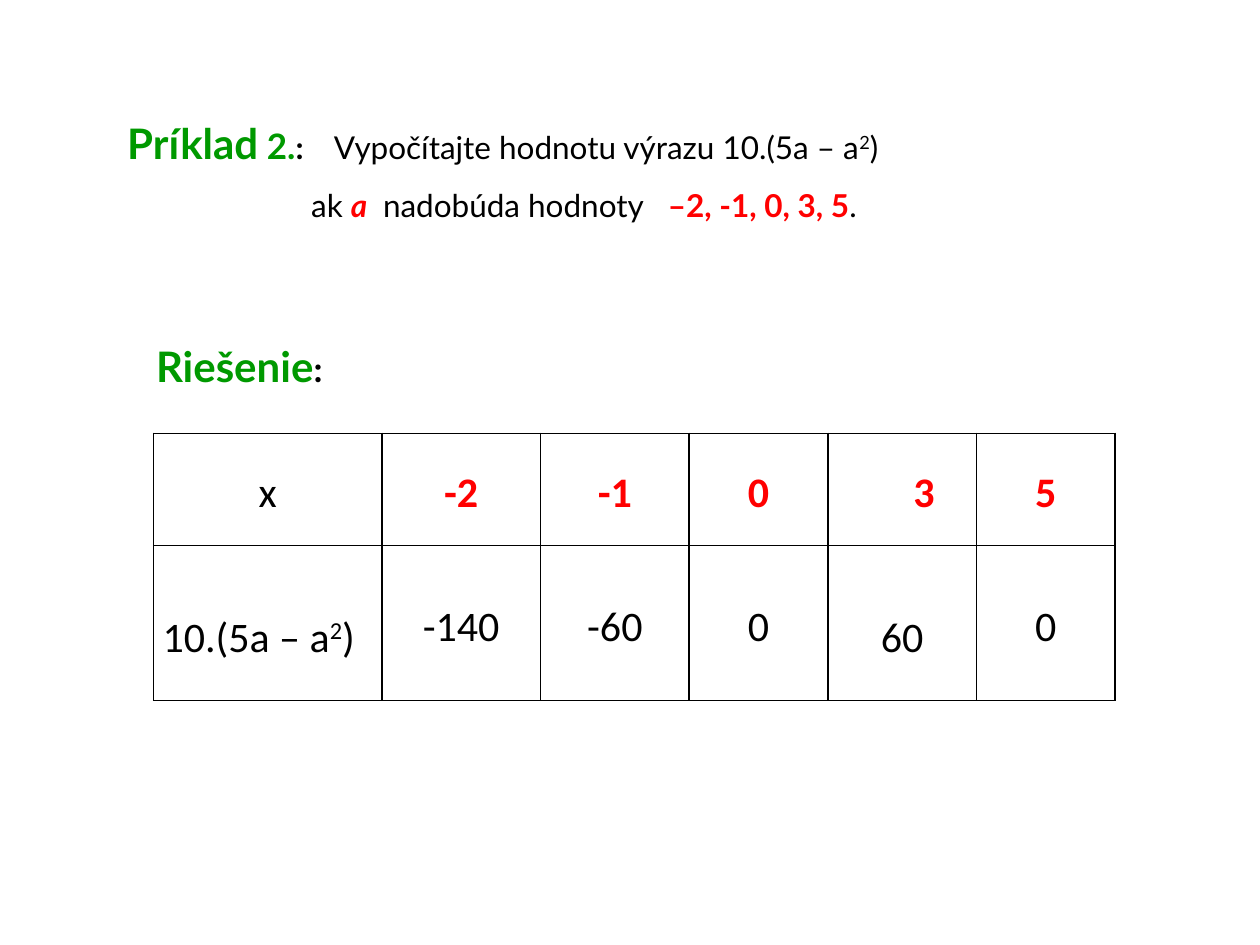
import pptx
import pptx.util
import pptx.dml.color
import pptx.enum.text
import pptx.oxml
import pptx.oxml.ns

Inches = pptx.util.Inches
ALIGN = pptx.enum.text.PP_ALIGN
ANCHOR = pptx.enum.text.MSO_ANCHOR
COLORS = {"green": "009900", "red": "FF0000", "black": "000000"}


def add_text(para, text, font="Lato", size=18, color="black",
             bold=False, italic=False, raised=False):
    span = para.add_run()
    span.text = text
    span.font.name = font
    span.font.size = pptx.util.Pt(size)
    span.font.color.rgb = pptx.dml.color.RGBColor.from_string(COLORS[color])
    span.font.bold = bold
    span.font.italic = italic
    if raised:
        span._r.get_or_add_rPr().set("baseline", "30000")


class PageBuilder:
    """Holds the style and the current slide."""

    def __init__(self, page):
        self.page = page

    def place(self, box, left, top, width, height):
        box.left, box.top = Inches(left), Inches(top)
        box.width, box.height = Inches(width), Inches(height)
        frame = box.text_frame
        frame.word_wrap = True
        frame.vertical_anchor = ANCHOR.TOP
        frame.auto_size = pptx.enum.text.MSO_AUTO_SIZE.SHAPE_TO_FIT_TEXT
        return frame

    def fill_lines(self, frame, lines, spacing=1.0):
        """Each line is a list of tab stops and a list of (text, format)."""
        for index, (stops, spans) in enumerate(lines):
            para = frame.add_paragraph() if index else frame.paragraphs[0]
            if stops:
                tabs = pptx.oxml.parse_xml(f"<a:tabLst {pptx.oxml.ns.nsdecls('a')}/>")
                for stop in stops:
                    tab = tabs.makeelement(pptx.oxml.ns.qn("a:tab"))
                    tab.set("pos", str(Inches(stop)))
                    tab.set("algn", "l")
                    tabs.append(tab)
                para._p.get_or_add_pPr().append(tabs)
            para.alignment = ALIGN.LEFT
            para.line_spacing = spacing
            for text, style in spans:
                add_text(para, text, **style)

    def title(self, lines, place, spacing):
        self.fill_lines(self.place(self.page.shapes.title, *place), lines, spacing)

    def text(self, lines, place):
        box = self.page.shapes.add_textbox(0, 0, 0, 0)
        self.fill_lines(self.place(box, *place), lines)

    def border(self, cell):
        props = cell._tc.get_or_add_tcPr()
        for side in "LRTB":
            props.append(pptx.oxml.parse_xml(
                f'<a:ln{side} {pptx.oxml.ns.nsdecls("a")} w="12700"><a:solidFill>'
                f'<a:srgbClr val="{COLORS["black"]}"/></a:solidFill></a:ln{side}>'))

    def table(self, rows, left, top, widths, heights):
        table = self.page.shapes.add_table(
            len(heights), len(widths), Inches(left), Inches(top),
            Inches(sum(widths)), Inches(sum(heights))).table
        table.first_row = table.horz_banding = False
        for column, width in zip(table.columns, widths):
            column.width = Inches(width)
        for row, height in zip(table.rows, heights):
            row.height = Inches(height)
        for r, row in enumerate(rows):
            for c, spans in enumerate(row):
                cell = table.cell(r, c)
                self.border(cell)
                cell.fill.background()
                cell.margin_left = cell.margin_right = Inches(0.07)
                cell.margin_top = cell.margin_bottom = 0
                cell.vertical_anchor = ANCHOR.MIDDLE
                para = cell.text_frame.paragraphs[0]
                para.alignment = ALIGN.CENTER
                para.line_spacing = 1.15
                for text, style in spans:
                    add_text(para, text, font="Calibri", size=24, **style)
        return table


def main():
    deck = pptx.Presentation()
    deck.slide_width, deck.slide_height = Inches(10), Inches(7.5)
    builder = PageBuilder(deck.slides.add_slide(deck.slide_layouts[5]))
    green = {"color": "green", "bold": True}
    red = {"color": "red", "bold": True}

    # Task
    builder.title([
        ([1.64], [("Príklad", {"size": 24, **green}), (" 2.", {"size": 20, **green}),
                  (":", {"bold": True}), ("\tVypočítajte hodnotu výrazu 10.(5a – a", {}),
                  ("2", {"raised": True}), (")", {})]),
        ([1.46, 2.03, 4.29], [("\tak ", {}), ("a", {"italic": True, **red}),
                              ("\tnadobúda hodnoty\t", {}),
                              ("–2, -1, 0, 3, 5", red), (".", {})]),
    ], (0.91, 0.68, 7.56, 1.16), spacing=1.5)

    # Solution heading
    builder.text([([], [("Riešenie", {"size": 24, **green}),
                        (":", {"size": 20, "bold": True})])],
                 (1.14, 2.65, 7.24, 0.5))

    # Table of values
    expression = [("10.(5a – a", {}), ("2", {"raised": True}), (")", {})]
    inputs = ["-2", "-1", "0", "3", "5"]
    results = ["-140", "-60", "0", "60", "0"]
    table = builder.table(
        [[[("x", {})]] + [[(value, red)] for value in inputs],
         [expression] + [[(value, {})] for value in results]],
        1.22, 3.44, [1.81, 1.26, 1.18, 1.1, 1.18, 1.1], [0.89, 1.23])

    # Cells set off from the common alignment
    table.cell(0, 4).margin_left = Inches(0.68)
    for cell in (table.cell(0, 4), table.cell(1, 0)):
        cell.text_frame.paragraphs[0].alignment = ALIGN.LEFT
    for cell in (table.cell(1, 0), table.cell(1, 4)):
        cell.vertical_anchor = ANCHOR.TOP
        cell.margin_top = Inches(0.47)

    deck.save("out.pptx")


if __name__ == "__main__":
    main()
